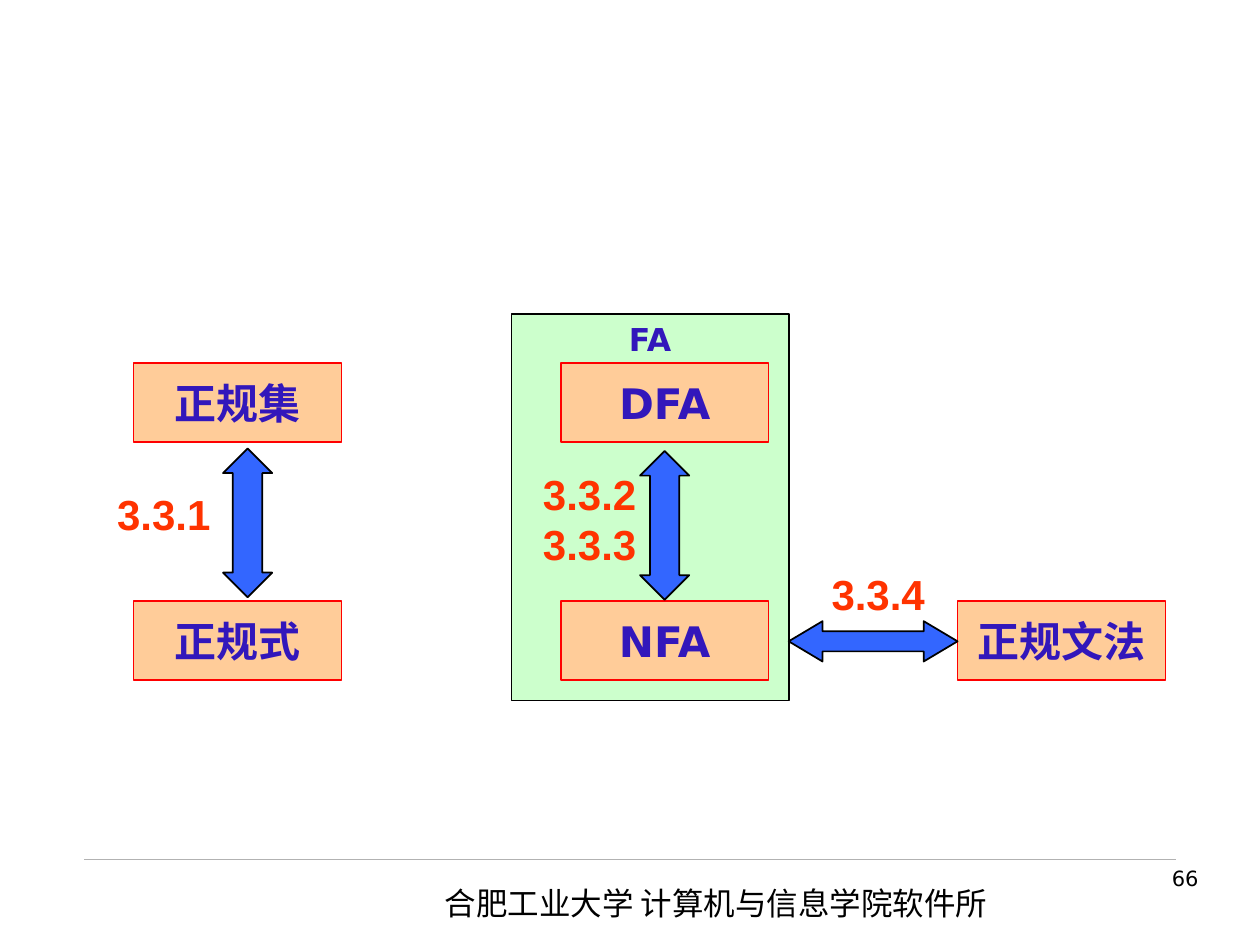
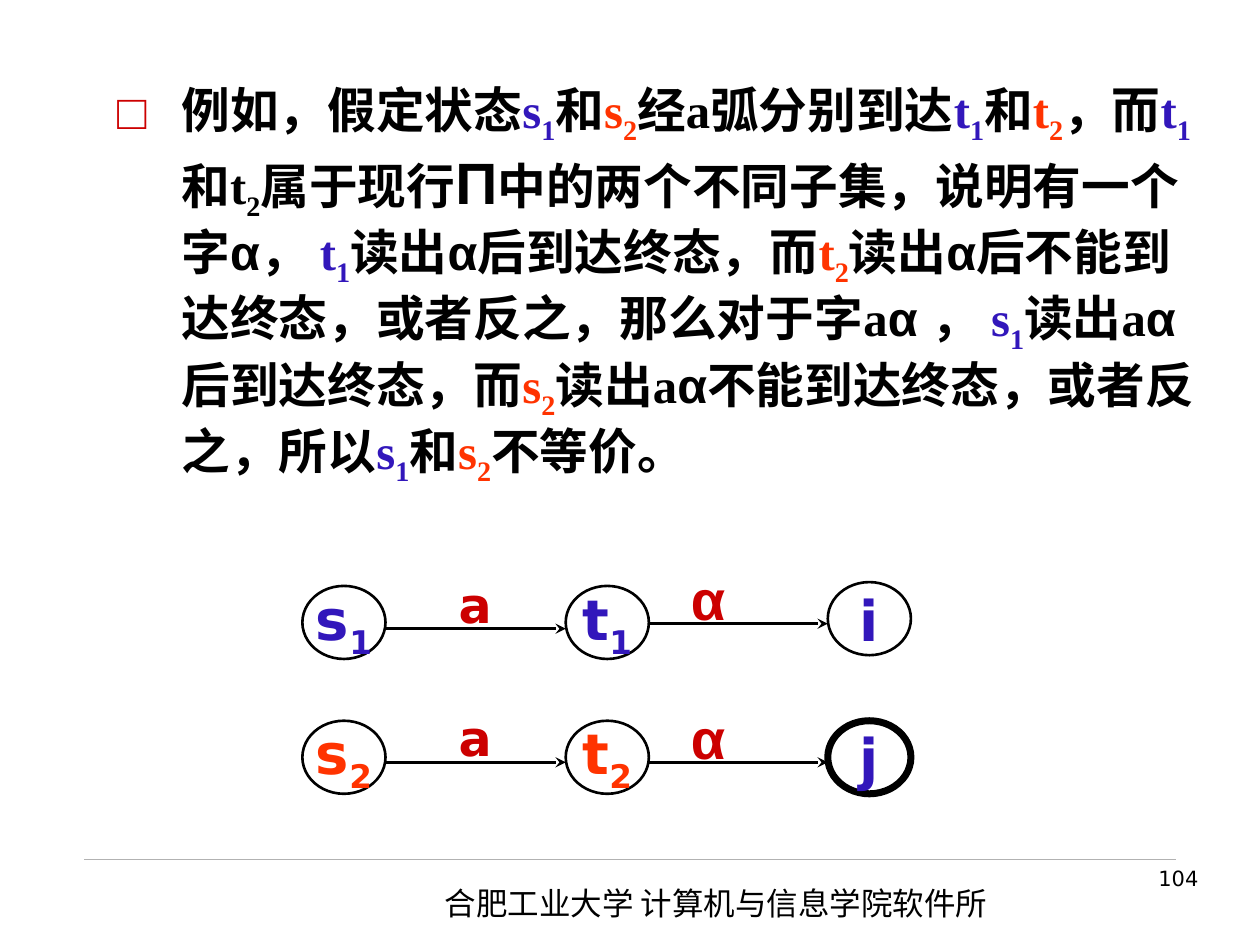
"""Build two slides on regular languages, finite automata and state equivalence."""
from lxml.etree import SubElement
from pptx import Presentation
from pptx.dml.color import RGBColor
from pptx.enum.shapes import MSO_CONNECTOR, MSO_SHAPE as Shape
from pptx.enum.text import MSO_ANCHOR as Anchor, MSO_AUTO_SIZE as AutoSize, PP_ALIGN as Align
from pptx.oxml.ns import qn
from pptx.util import Inches, Pt

BLACK = RGBColor(0x00, 0x00, 0x00)
INDIGO = RGBColor(0x32, 0x17, 0xBB)
ORANGE = RGBColor(0xFF, 0x33, 0x00)
CRIMSON = RGBColor(0xCC, 0x00, 0x00)
RED = RGBColor(0xFF, 0x00, 0x00)
PEACH = RGBColor(0xFF, 0xCC, 0x99)
MINT = RGBColor(0xCC, 0xFF, 0xCC)
BLUE = RGBColor(0x33, 0x66, 0xFF)
GRAY = RGBColor(0xB2, 0xB2, 0xB2)

SANS, ARIAL, SERIF, CJK = "DejaVu Sans", "Arial", "Times New Roman", "Noto Sans CJK SC"
FOOTER = "合肥工业大学 计算机与信息学院软件所"

LEFT_COL, FA_COL, GRAMMAR_COL = 1.06, 4.45, 7.6
UPPER_ROW, LOWER_ROW = 2.88, 4.77
CONCEPT_SIZE = (1.65, 0.63)
CONCEPTS = [
    ("正规集", LEFT_COL, UPPER_ROW),
    ("正规式", LEFT_COL, LOWER_ROW),
    ("DFA", FA_COL, UPPER_ROW),
    ("NFA", FA_COL, LOWER_ROW),
    ("正规文法", GRAMMAR_COL, LOWER_ROW),
]
CONVERSIONS = [
    (Shape.LEFT_RIGHT_ARROW, (6.26, 4.93, 1.34, 0.32), 0.84),
    (Shape.UP_DOWN_ARROW, (1.77, 3.56, 0.39, 1.18), 0.6),
    (Shape.UP_DOWN_ARROW, (5.08, 3.58, 0.39, 1.18), 0.6),
]
SECTIONS = [
    (["3.3.1"], (0.83, 3.83, 0.94, 0.5)),
    (["3.3.2", "3.3.3"], (4.21, 3.67, 0.94, 0.9)),
    (["3.3.4"], (6.5, 4.46, 0.94, 0.5)),
]

S1, T1 = ("s", "1", INDIGO), ("t", "1", INDIGO)
S2, T2 = ("s", "2", ORANGE), ("t", "2", ORANGE)
PASSAGE = [
    "例如，假定状态", S1, "和", S2, "经a弧分别到达", T1, "和", T2, "，而", T1, "和",
    ("t", "2", BLACK), "属于现行", "Π", "中的两个不同子集，说明有一个字", "α", "， ", T1,
    "读出", "α", "后到达终态，而", T2, "读出", "α", "后不能到达终态，或者反之，那么对于字a",
    "α ", "， ", S1, "读出a", "α", "后到达终态，而", S2, "读出a", "α",
    "不能到达终态，或者反之，所以", S1, "和", S2, "不等价。",
]
GREEK_SIZES = {"α": 27.8, "Π": 33.3}

NODE_SIZE = (0.66, 0.58)
NODE_LEFTS = (2.4, 4.49, 6.57)
CHAINS = [
    [(S1, 4.65, 1.5), (T1, 4.65, 1.5), (("i", "", INDIGO), 4.62, 1.5)],
    [(S2, 5.72, 1.5), (T2, 5.72, 1.5), (("j", "", INDIGO), 5.72, 4)],
]
ARC_HEIGHTS = [(4.99, 4.95), (6.05, 6.05)]
ARC_LABELS = [("a", SANS, 28, 3.31), ("α", ARIAL, 32, 5.16)]


def inches(*lengths):
    return [Inches(length) for length in lengths]


def style(paragraph, font, size, color, bold=True, align=Align.CENTER):
    paragraph.alignment = align
    face = paragraph.font
    face.name, face.size, face.bold = font, Pt(size), bold
    face.color.rgb = color
    defaults = paragraph._p.get_or_add_pPr().get_or_add_defRPr()
    SubElement(defaults, qn("a:ea"), typeface=CJK)


def add_state(paragraph, state):
    letter, index, color = state
    for text in filter(None, (letter, index)):
        run = paragraph.add_run()
        run.text = text
        run.font.color.rgb = color
        if text == index:
            run.font._element.set("baseline", "-25000")


def add_label(slide, lines, box, *look, wrap=False, anchor=Anchor.TOP, **options):
    frame = slide.shapes.add_textbox(*inches(*box)).text_frame
    frame.word_wrap, frame.vertical_anchor = wrap, anchor
    frame.text = "\n".join(lines)
    for paragraph in frame.paragraphs:
        style(paragraph, *look, **options)
    return frame


def add_figure(slide, kind, box, fill, line, width=1, anchor=Anchor.MIDDLE):
    figure = slide.shapes.add_shape(kind, *inches(*box))
    figure.shadow.inherit = False
    if fill is None:
        figure.fill.background()
    else:
        figure.fill.solid()
        figure.fill.fore_color.rgb = fill
    figure.line.color.rgb = line
    figure.line.width = Pt(width)
    figure.text_frame.word_wrap = False
    figure.text_frame.vertical_anchor = anchor
    return figure


def add_line(slide, start, end, color, width, arrow=False):
    line = slide.shapes.add_connector(MSO_CONNECTOR.STRAIGHT, *inches(*start, *end))
    line.line.color.rgb = color
    line.line.width = Pt(width)
    if arrow:
        SubElement(line.line._get_or_add_ln(), qn("a:tailEnd"), type="stealth")
    SubElement(line._element.spPr, qn("a:effectLst"))


def add_page_frame(slide, number):
    add_line(slide, (0.67, 6.82), (9.33, 6.82), GRAY, 0.25)
    add_label(slide, [FOOTER], (3.43, 6.97, 4.72, 0.4), CJK, 18, BLACK,
              wrap=True, bold=False, align=Align.LEFT)
    add_label(slide, [number], (7.44, 6.82, 2.17, 0.52), SANS, 12, BLACK,
              wrap=True, bold=False, align=Align.RIGHT)


def build_conversions(prs):
    slide = prs.slides.add_slide(prs.slide_layouts[6])
    add_page_frame(slide, "66")
    automata = add_figure(slide, Shape.RECTANGLE, (4.06, 2.49, 2.2, 3.07), MINT, BLACK,
                          anchor=Anchor.TOP)
    automata.text_frame.text = "FA"
    style(automata.text_frame.paragraphs[0], SANS, 18, INDIGO)
    for name, left, top in CONCEPTS:
        concept = add_figure(slide, Shape.RECTANGLE, (left, top, *CONCEPT_SIZE), PEACH, RED)
        concept.text_frame.text = name
        style(concept.text_frame.paragraphs[0], SANS, 24, INDIGO)
    for kind, box, head in CONVERSIONS:
        arrow = add_figure(slide, kind, box, BLUE, BLACK)
        arrow.adjustments[0], arrow.adjustments[1] = 0.5, head
    for lines, box in SECTIONS:
        add_label(slide, lines, box, ARIAL, 24, ORANGE, wrap=len(lines) > 1)


def write_passage(body):
    body.left, body.top, body.width, body.height = inches(0.83, 0.58, 8.75, 3.8)
    body.text_frame.auto_size = AutoSize.NONE
    paragraph = body.text_frame.paragraphs[0]
    properties = paragraph._p.get_or_add_pPr()
    properties.set("marL", str(Inches(0.51)))
    properties.set("indent", str(-Inches(0.51)))
    paragraph.space_before = Pt(0)
    bullet_color = SubElement(properties, qn("a:buClr"))
    SubElement(bullet_color, qn("a:srgbClr"), val=str(CRIMSON))
    SubElement(properties, qn("a:buChar"), char="□")
    style(paragraph, SERIF, 27.8, BLACK, align=Align.LEFT)
    for part in PASSAGE:
        if isinstance(part, tuple):
            add_state(paragraph, part)
            continue
        run = paragraph.add_run()
        run.text = part
        if part.strip() in GREEK_SIZES:
            run.font.name = ARIAL
            run.font.size = Pt(GREEK_SIZES[part.strip()])


def build_example(prs):
    slide = prs.slides.add_slide(prs.slide_layouts[1])
    title = slide.shapes.title._element
    title.getparent().remove(title)
    write_passage(slide.placeholders[1])
    add_page_frame(slide, "104")
    width, height = NODE_SIZE
    for chain, arc_heights in zip(CHAINS, ARC_HEIGHTS):
        for left, (state, top, outline) in zip(NODE_LEFTS, chain):
            node = add_figure(slide, Shape.OVAL, (left, top, width, height), None, BLACK, outline)
            paragraph = node.text_frame.paragraphs[0]
            style(paragraph, SANS, 32, state[2])
            add_state(paragraph, state)
        arcs = zip(NODE_LEFTS, NODE_LEFTS[1:], arc_heights, ARC_LABELS)
        for start, end, y, (letter, font, size, label_left) in arcs:
            add_line(slide, (start + width, y), (end, y), BLACK, 1.5, arrow=True)
            add_label(slide, [letter], (label_left, y - 0.49, 0.92, height),
                      font, size, CRIMSON, anchor=Anchor.MIDDLE)


def main():
    prs = Presentation()
    prs.slide_width, prs.slide_height = inches(10, 7.5)
    build_conversions(prs)
    build_example(prs)
    prs.save("out.pptx")


if __name__ == "__main__":
    main()
